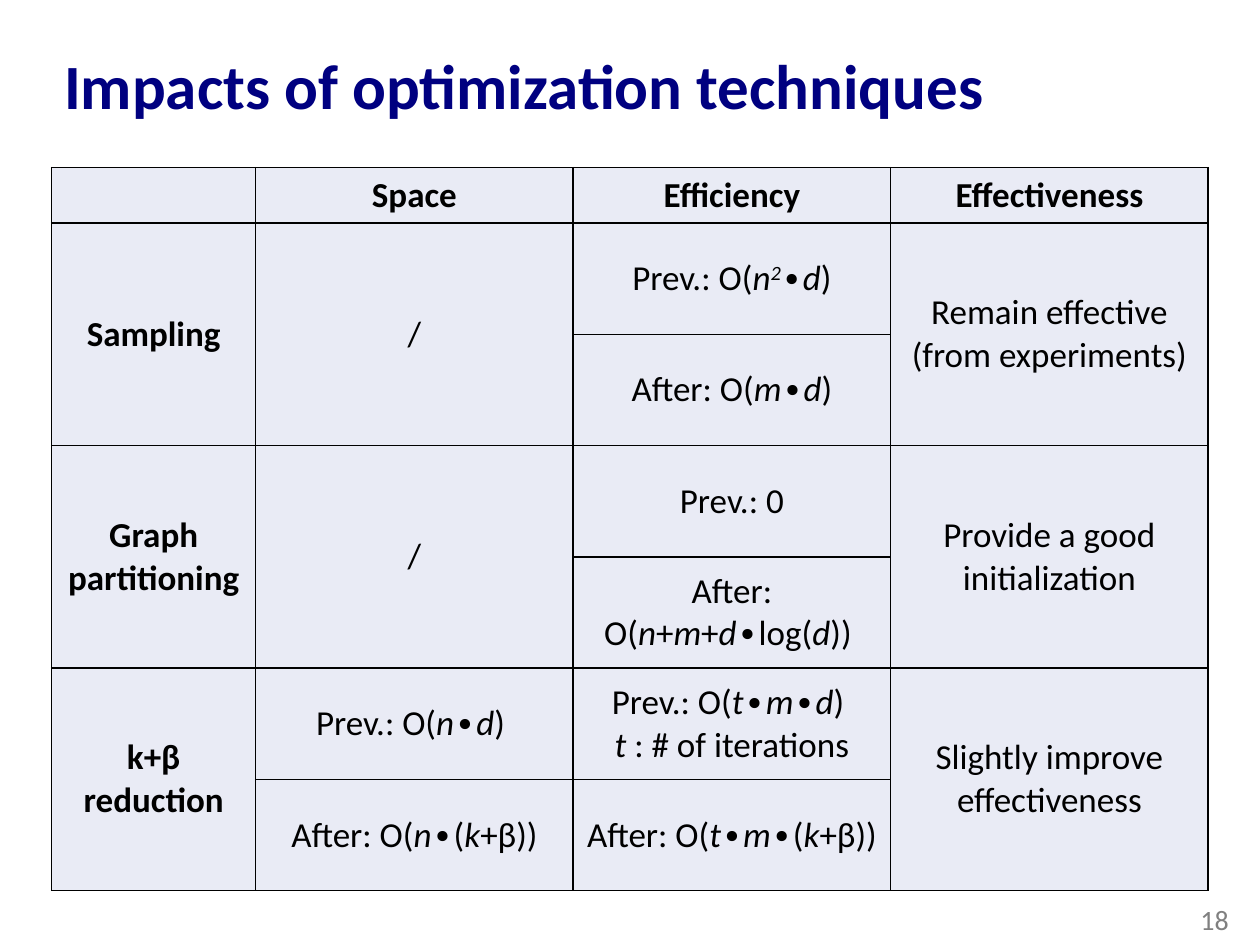
from dataclasses import dataclass

from lxml import etree
from pptx import Presentation
from pptx.dml.color import RGBColor
from pptx.enum.text import MSO_ANCHOR, PP_ALIGN
from pptx.oxml.ns import qn
from pptx.util import Inches, Pt

MIDDLE = MSO_ANCHOR.MIDDLE
LEFT, CENTER, RIGHT = PP_ALIGN.LEFT, PP_ALIGN.CENTER, PP_ALIGN.RIGHT
TITLE_ONLY = 5


@dataclass(frozen=True)
class Theme:
    font: str = "Calibri"
    title_color: str = "000080"
    text_color: str = "000000"
    number_color: str = "808080"
    cell_fill: str = "E9EBF5"
    border_color: str = "000000"
    title_size: int = 36
    table_size: int = 20
    number_size: int = 16
    border_width: int = 1


THEME = Theme()

COLUMN_WIDTHS = [1.62, 2.52, 2.52, 2.52]
HEADER_HEIGHT = 0.43
HEADINGS = ["", "Space", "Efficiency", "Effectiveness"]
# Each technique spans two rows; a column holds one merged entry or a
# (previous, after) pair. In entries, _ toggles italics and ^ a superscript.
TECHNIQUES = [
    ["Sampling", "/",
     ("Prev.: O(_n^2^_∙_d_)", "After: O(_m_∙_d_)"),
     "Remain effective (from experiments)"],
    ["Graph partitioning", "/",
     ("Prev.: 0", "After: O(_n_+_m_+_d_∙log(_d_)) "),
     "Provide a good initialization"],
    ["k+β reduction",
     ("Prev.: O(_n_∙_d_) ", "After: O(_n_∙(_k_+β))"),
     ("Prev.: O(_t_∙_m_∙_d_) \n_t_ : # of iterations",
      "After: O(_t_∙_m_∙(_k_+β))"),
     "Slightly improve effectiveness"],
]


def add_run(paragraph, text, size, color, bold=False, italic=False):
    run = paragraph.add_run()
    run.text = text
    font = run.font
    font.name, font.size = THEME.font, Pt(size)
    font.bold, font.italic = bold, italic
    font.color.rgb = RGBColor.from_string(color)
    return run


def add_formula(paragraph, markup, bold):
    italic = raised = False
    text = ""
    for char in markup + "\0":
        if char not in "_^\n\0":
            text += char
            continue
        if text:
            run = add_run(paragraph, text, THEME.table_size,
                          THEME.text_color, bold, italic)
            if raised:
                run.font._element.set("baseline", "30000")
            text = ""
        if char == "_":
            italic = not italic
        elif char == "^":
            raised = not raised
        elif char == "\n":
            paragraph.add_line_break()


def style_cell(cell):
    properties = cell._tc.get_or_add_tcPr()
    for side in ("a:lnL", "a:lnR", "a:lnT", "a:lnB"):
        border = etree.SubElement(properties, qn(side),
                                  w=str(Pt(THEME.border_width)))
        fill = etree.SubElement(border, qn("a:solidFill"))
        etree.SubElement(fill, qn("a:srgbClr"), val=THEME.border_color)
    cell.fill.solid()
    cell.fill.fore_color.rgb = RGBColor.from_string(THEME.cell_fill)
    cell.vertical_anchor = MIDDLE


def fill_cell(cell, markup, bold=False):
    paragraph = cell.text_frame.paragraphs[0]
    paragraph.alignment = CENTER
    add_formula(paragraph, markup, bold)


def place_title(slide, left, top, width, height):
    title = slide.shapes.title
    title.left, title.top = Inches(left), Inches(top)
    title.width, title.height = Inches(width), Inches(height)
    title.text_frame.vertical_anchor = MIDDLE
    paragraph = title.text_frame.paragraphs[0]
    paragraph.alignment = LEFT
    paragraph.line_spacing = 0.9
    add_run(paragraph, "Impacts of optimization techniques",
            THEME.title_size, THEME.title_color, bold=True)


def add_impact_table(slide, left, top, width, height):
    row_count = 1 + 2 * len(TECHNIQUES)
    table = slide.shapes.add_table(
        row_count, len(HEADINGS), Inches(left), Inches(top),
        Inches(width), Inches(height)).table
    table.first_row = table.horz_banding = False
    for column, column_width in zip(table.columns, COLUMN_WIDTHS):
        column.width = Inches(column_width)
    body_height = (height - HEADER_HEIGHT) / (row_count - 1)
    for index, row in enumerate(table.rows):
        row.height = Inches(body_height if index else HEADER_HEIGHT)
    for cell in table.iter_cells():
        style_cell(cell)

    for column, heading in enumerate(HEADINGS):
        if heading:
            fill_cell(table.cell(0, column), heading, bold=True)
    for index, entries in enumerate(TECHNIQUES):
        first = 1 + 2 * index
        for column, entry in enumerate(entries):
            upper = table.cell(first, column)
            lower = table.cell(first + 1, column)
            if isinstance(entry, tuple):
                fill_cell(upper, entry[0])
                fill_cell(lower, entry[1])
            else:
                upper.merge(lower)
                fill_cell(upper, entry, bold=column == 0)


def add_page_number(slide, left, top, width, height):
    box = slide.shapes.add_textbox(Inches(left), Inches(top),
                                   Inches(width), Inches(height))
    frame = box.text_frame
    frame.word_wrap = True
    frame.vertical_anchor = MIDDLE
    paragraph = frame.paragraphs[0]
    paragraph.alignment = RIGHT
    add_run(paragraph, "18", THEME.number_size, THEME.number_color)


def main():
    deck = Presentation()
    deck.slide_width, deck.slide_height = Inches(10), Inches(7.5)
    slide = deck.slides.add_slide(deck.slide_layouts[TITLE_ONLY])
    place_title(slide, 0.41, 0.21, 9.18, 0.99)
    add_impact_table(slide, 0.41, 1.33, 9.18, 5.73)
    add_page_number(slide, 7.6, 7.1, 2.25, 0.4)
    deck.save("out.pptx")


if __name__ == "__main__":
    main()
